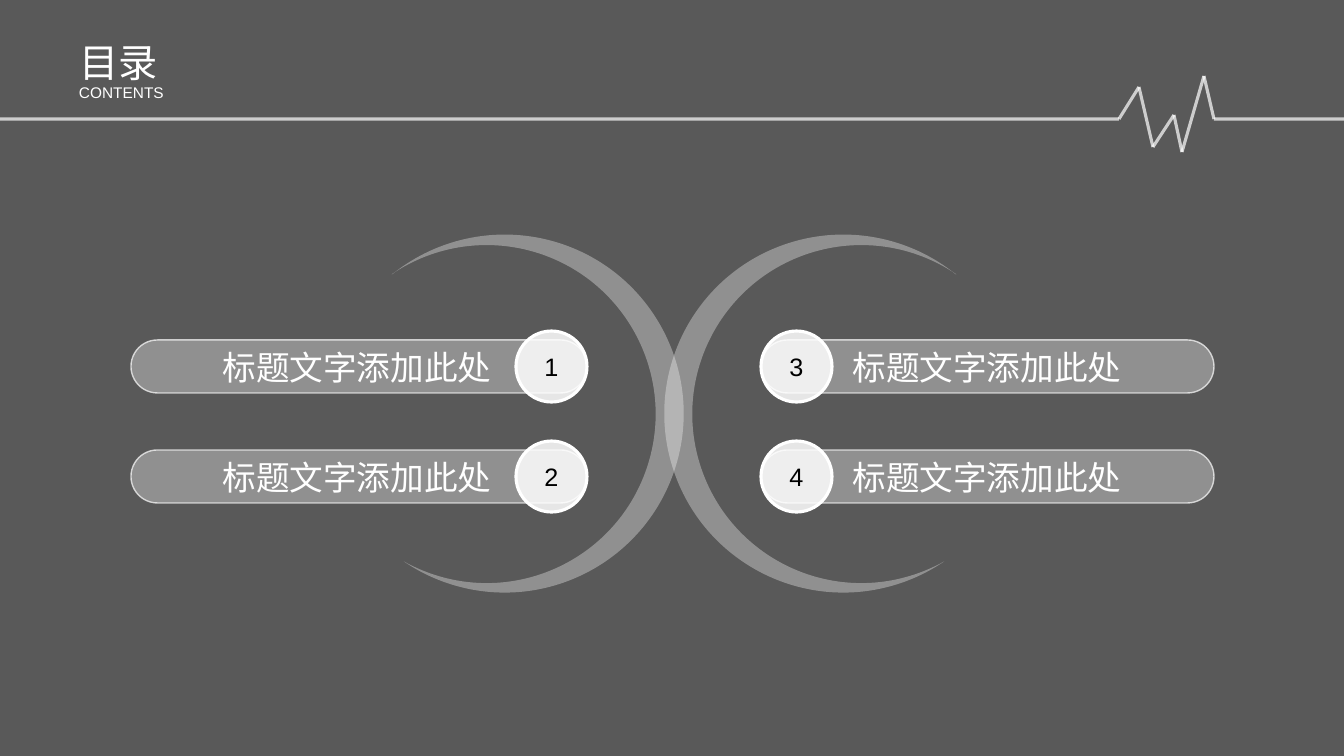
from dataclasses import dataclass
from itertools import pairwise
from math import cos, radians, sin, tan

from lxml.etree import SubElement
from pptx import Presentation
from pptx.dml.color import RGBColor
from pptx.enum.shapes import MSO_CONNECTOR, MSO_SHAPE
from pptx.enum.text import MSO_ANCHOR, MSO_AUTO_SIZE, PP_ALIGN
from pptx.oxml.ns import qn
from pptx.util import Pt

WIDTH, HEIGHT = 1344, 756
EMU_PER_PIXEL = 12192000 / WIDTH


@dataclass(frozen=True)
class Theme:
    """Colours, opacities, font and sizes of the slide."""
    white: RGBColor = RGBColor(0xFF, 0xFF, 0xFF)
    pale: RGBColor = RGBColor(0xFC, 0xFC, 0xFC)
    black: RGBColor = RGBColor(0, 0, 0)
    backdrop_opacity: int = 65
    pale_opacity: int = 34
    badge_opacity: int = 85
    line_opacity: int = 70
    thin_line: float = 1
    thick_line: float = 2.25
    font: str = "Arial"
    title_size: int = 28
    subtitle_size: int = 11
    label_size: int = 24
    number_size: int = 18


THEME = Theme()


def px(*lengths):
    """Turn pixel lengths into EMU."""
    return [round(length * EMU_PER_PIXEL) for length in lengths]


def set_opacity(fill_parent, percent):
    """Give the solid fill directly under an XML element an opacity."""
    color = fill_parent.find(qn("a:solidFill"))[0]
    SubElement(color, qn("a:alpha")).set("val", str(percent * 1000))


def paint_fill(shape, color, opacity):
    """Fill a shape with a translucent colour and no shadow."""
    shape.shadow.inherit = False
    shape.fill.solid()
    shape.fill.fore_color.rgb = color
    set_opacity(shape.element.spPr, opacity)


def paint_line(shape, width, opacity=100):
    """Draw a white outline of the given width in points."""
    shape.line.color.rgb = THEME.white
    shape.line.width = Pt(width)
    if opacity < 100:
        set_opacity(shape.element.spPr.find(qn("a:ln")), opacity)


def write_text(shape, text, size, color, alignment, anchor=MSO_ANCHOR.TOP):
    """Put one formatted line of text in a shape."""
    frame = shape.text_frame
    frame.text = text
    frame.word_wrap = True
    frame.auto_size = MSO_AUTO_SIZE.NONE
    frame.vertical_anchor = anchor
    paragraph = frame.paragraphs[0]
    paragraph.alignment = alignment
    font = paragraph.runs[0].font
    font.name, font.size, font.color.rgb = THEME.font, Pt(size), color
    return paragraph


def add_backdrop(slide):
    """Cover the white slide with a translucent dark sheet behind all else."""
    backdrop = slide.shapes.add_shape(MSO_SHAPE.RECTANGLE, *px(0, 0, WIDTH, HEIGHT))
    paint_fill(backdrop, THEME.black, THEME.backdrop_opacity)
    backdrop.line.fill.background()
    slide.shapes.title.element.addprevious(backdrop.element)


def add_heading(slide, left, top):
    """Place the title and the small line below it."""
    title = slide.shapes.title
    title.left, title.top, title.width, title.height = px(left, top, 391, 57)
    write_text(title, "目录", THEME.title_size, THEME.white, PP_ALIGN.LEFT)
    subtitle = slide.shapes.add_textbox(*px(left, top + 43, 438, 30))
    paragraph = write_text(subtitle, "CONTENTS", THEME.subtitle_size, THEME.white, PP_ALIGN.LEFT)
    paragraph.line_spacing = 1.14


def add_pulse_line(slide, baseline):
    """Draw the heartbeat line across the slide."""
    pulse = [(0, 0), (1119, 0), (1139, -32), (1153, 28), (1174, -4),
             (1182, 33), (1204, -43), (1214, 0), (WIDTH, 0)]
    group = slide.shapes.add_group_shape()
    for (start_x, start_y), (end_x, end_y) in pairwise(pulse):
        connector = group.shapes.add_connector(
            MSO_CONNECTOR.STRAIGHT,
            *px(start_x, baseline + start_y, end_x, baseline + end_y))
        paint_line(connector, THEME.thick_line, THEME.line_opacity)
        SubElement(connector.element.spPr, qn("a:effectLst"))


def arc_points(center_x, center_y, radius, stops, direction):
    """List the Bézier points of an arc through angle stops, mirrored for -1."""
    def point(angle, pull):
        return (center_x + direction * radius * (cos(angle) - pull * sin(angle)),
                center_y + radius * (sin(angle) + pull * cos(angle)))

    points = [point(radians(stops[0]), 0)]
    for start, end in pairwise(map(radians, stops)):
        pull = 4 / 3 * tan((end - start) / 4)
        points += [point(start, pull), point(end, -pull), point(end, 0)]
    return points


def curve_segments(freeform):
    """Join each three straight segments of a freeform into one Bézier curve."""
    lines = list(freeform.element.iter(qn("a:lnTo")))
    outline = lines[0].getparent()
    close = outline.find(qn("a:close"))
    for first in range(0, len(lines), 3):
        curve = SubElement(outline, qn("a:cubicBezTo"))
        for line in lines[first:first + 3]:
            curve.append(line[0])
            outline.remove(line)
    outline.append(close)


def add_crescent(slide, center_x, center_y, direction):
    """Draw a tilted crescent that bulges right (1) or left (-1)."""
    outer = arc_points(center_x, center_y, 179, (-146.9, -90, 0, 90, 106.5), direction)
    inner = arc_points(center_x - 17 * direction, center_y + 6, 169,
                       (101.6, 90, 0, -90, -141.9), direction)
    points = [tuple(px(*point)) for point in outer + inner[1:]]
    builder = slide.shapes.build_freeform(*points[0])
    builder.add_line_segments(points[1:], close=True)
    crescent = builder.convert_to_shape()
    curve_segments(crescent)
    crescent.rotation = 17.8 * direction
    paint_fill(crescent, THEME.pale, THEME.pale_opacity)
    crescent.line.fill.background()


def add_item(slide, left, top, width, number, badge_on_right):
    """Place a pill with its label and a numbered badge at one end."""
    height, badge_size = 53, 71
    shapes = slide.shapes.add_group_shape().shapes
    pill = shapes.add_shape(MSO_SHAPE.ROUNDED_RECTANGLE, *px(left, top, width, height))
    pill.adjustments[0] = 0.5
    paint_fill(pill, THEME.pale, THEME.pale_opacity)
    paint_line(pill, THEME.thin_line, THEME.line_opacity)
    badge_left = left + width - badge_size if badge_on_right else left
    badge_top = top - (badge_size - height) // 2
    badge = shapes.add_shape(MSO_SHAPE.OVAL, *px(badge_left, badge_top, badge_size, badge_size))
    paint_fill(badge, THEME.white, THEME.badge_opacity)
    paint_line(badge, THEME.thick_line)
    write_text(badge, str(number), THEME.number_size, THEME.black,
               PP_ALIGN.CENTER, MSO_ANCHOR.MIDDLE)
    label = shapes.add_textbox(*px(left - 4, top + 2, 460, 50))
    write_text(label, "标题文字添加此处", THEME.label_size, THEME.white, PP_ALIGN.CENTER)


def add_contents_slide(presentation):
    """Build the contents slide."""
    slide = presentation.slides.add_slide(presentation.slide_layouts[5])
    add_backdrop(slide)
    add_pulse_line(slide, 119)
    add_heading(slide, 69, 33)
    for center_x, direction in ((504, 1), (844, -1)):
        add_crescent(slide, center_x, 418, direction)
    for column, (left, width) in enumerate(((131, 456), (761, 453))):
        for row in range(2):
            add_item(slide, left, 340 + 110 * row, width, 2 * column + row + 1, column == 0)


def main():
    """Create and save the presentation."""
    presentation = Presentation()
    presentation.slide_width, presentation.slide_height = px(WIDTH, HEIGHT)
    add_contents_slide(presentation)
    presentation.save("out.pptx")


if __name__ == "__main__":
    main()
